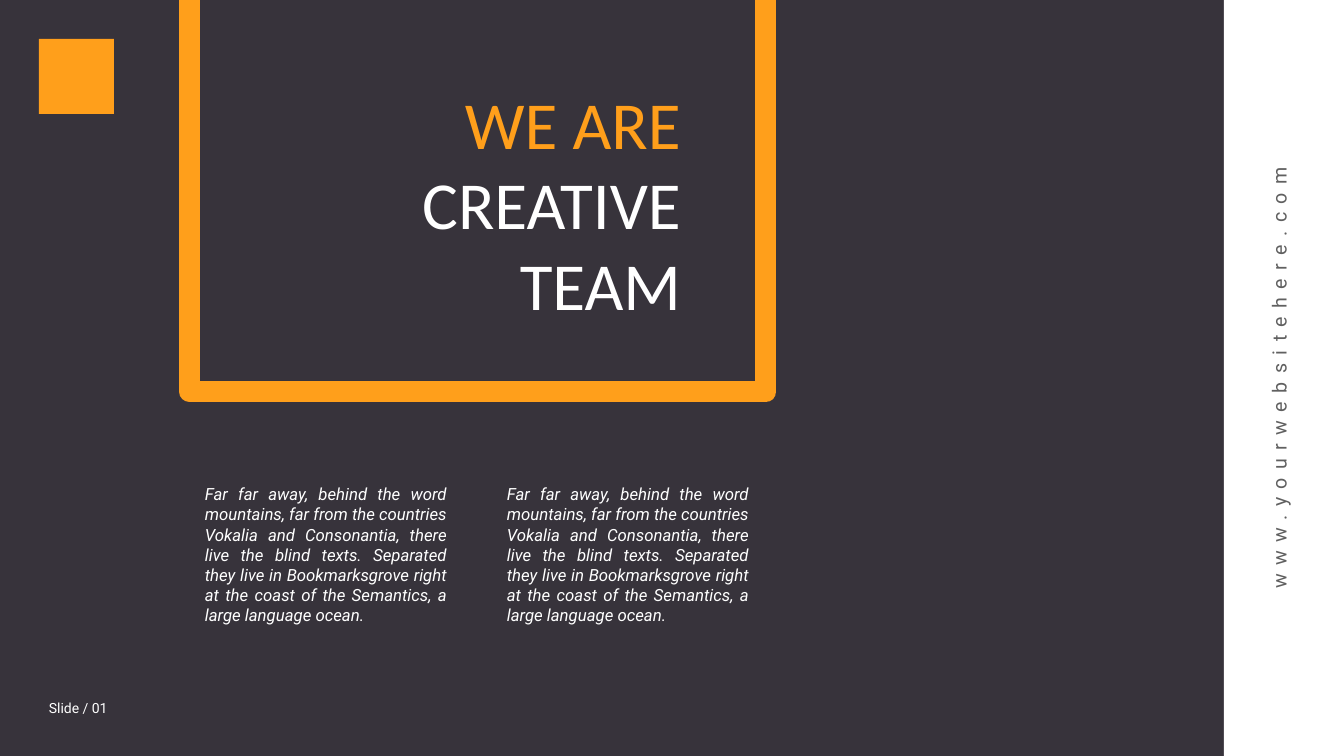
from pptx import Presentation
from pptx import util as u
from pptx.dml.color import RGBColor
from pptx.enum import shapes, text

PX = 12192000 / 1344
COLORS = {
    "ground": "37333B",
    "accent": "FF9F1B",
    "white": "FFFFFF",
    "grey": "606060",
}
STORY = (
    "Far far away, behind the word mountains, far from the countries "
    "Vokalia and Consonantia, there live the blind texts. Separated they "
    "live in Bookmarksgrove right at the coast of the Semantics, a large "
    "language ocean."
)


def px(*lengths):
    return [u.Emu(round(length * PX)) for length in lengths]


def add_text(place, words, size, color, align, wrap=False):
    box = page.shapes.add_textbox(*px(*place))
    frame = box.text_frame
    frame.text = words
    frame.word_wrap = wrap
    para = frame.paragraphs[0]
    para.alignment = align
    span = para.runs[0]
    span.font.name = "Roboto"
    span.font.size = u.Pt(size)
    span.font.color.rgb = RGBColor.from_string(COLORS[color])
    return box, span


deck = Presentation()
deck.slide_width, deck.slide_height = px(1344, 756)
page = deck.slides.add_slide(deck.slide_layouts[5])
page.background.fill.solid()
page.background.fill.fore_color.rgb = RGBColor.from_string(COLORS["ground"])

# Side band, corner square and hanging frame
blocks = [
    ((1224, 0, 120, 756), "white", None),
    ((39, 39, 75, 75), "accent", None),
    ((190, -184, 576, 576), None, "accent"),
]
for place, fill, line in blocks:
    block = page.shapes.add_shape(shapes.MSO_SHAPE.RECTANGLE, *px(*place))
    block.shadow.inherit = False
    if fill:
        block.fill.solid()
        block.fill.fore_color.rgb = RGBColor.from_string(COLORS[fill])
    else:
        block.fill.background()
    if line:
        block.line.color.rgb = RGBColor.from_string(COLORS[line])
        block.line.width = u.Pt(15)
    else:
        block.line.fill.background()

# Title
title = page.shapes.title
title.left, title.top, title.width, title.height = px(334, 77, 357, 254)
heading = title.text_frame
heading.text = "WE ARE\nCREATIVE\nTEAM"
heading.word_wrap = True
heading.auto_size = text.MSO_AUTO_SIZE.NONE
heading.vertical_anchor = text.MSO_ANCHOR.TOP
for para, color in zip(heading.paragraphs, ["accent", "white", "white"]):
    para.alignment = text.PP_ALIGN.RIGHT
    span = para.runs[0]
    span.font.name = "Calibri"
    span.font.size = u.Pt(48)
    span.font.color.rgb = RGBColor.from_string(COLORS[color])

# Two story columns
for column in range(2):
    place = (195 + 302 * column, 479, 262, 152)
    box, span = add_text(place, STORY, 12, "white", text.PP_ALIGN.JUSTIFY, wrap=True)
    span.font.italic = True

# Page label and upright web address
add_text((39, 695, 80, 27), "Slide / 01", 10, "white", text.PP_ALIGN.LEFT)
address, span = add_text(
    (1262, 159, 44, 438), "www.yourwebsitehere.com", 14, "grey", text.PP_ALIGN.CENTER
)
address.element.txBody.bodyPr.set("vert", "vert270")
span.font._element.set("spc", "600")

deck.save("out.pptx")
